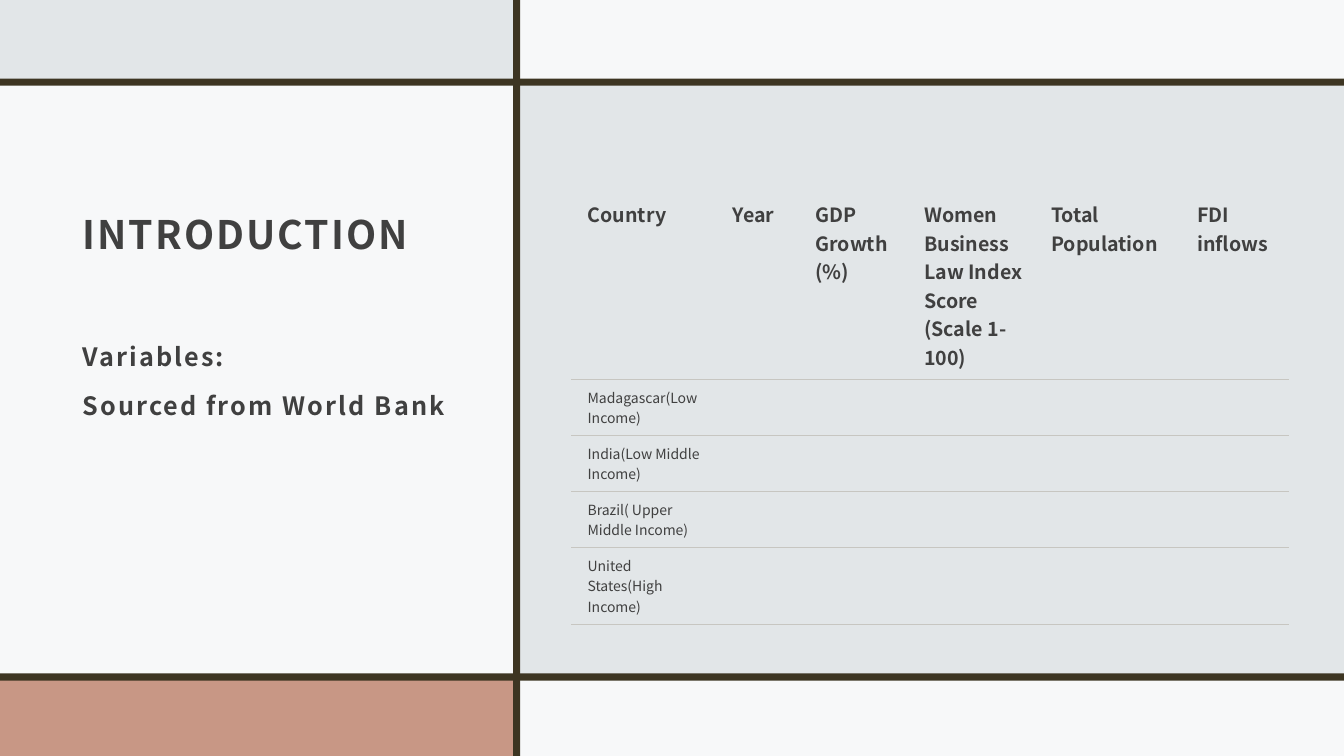
from dataclasses import dataclass

from lxml import etree
from pptx import Presentation
from pptx.dml.color import RGBColor
from pptx.enum.shapes import MSO_SHAPE
from pptx.enum.text import MSO_ANCHOR, MSO_AUTO_SIZE, PP_ALIGN
from pptx.oxml.ns import qn
from pptx.util import Cm, Pt

RECT = MSO_SHAPE.RECTANGLE
LEFT = PP_ALIGN.LEFT
TOP, MIDDLE = MSO_ANCHOR.TOP, MSO_ANCHOR.MIDDLE
NO_FIT = MSO_AUTO_SIZE.NONE
PLAIN_TABLE = "{2D5ABB26-0587-4C30-8999-92F81FD0307C}"


@dataclass(frozen=True)
class Theme:
    font: str = "Noto Sans CJK JP"
    text: str = "404040"
    backdrop: str = "E2E6E8"
    panel: str = "FFFFFF"
    accent: str = "C89785"
    bar: str = "3D3522"
    rule: str = "C7C6C1"
    title: int = 28
    body: int = 18
    header: int = 14
    cell: int = 10


THEME = Theme()
WIDTH, HEIGHT = 33.87, 19.05
BAR = 0.18
BAR_X, BAR_TOP, BAR_BOTTOM = 12.93, 1.98, 16.97
RIGHT_X = BAR_X + BAR

HEADERS = [
    ["Country"],
    ["Year"],
    ["GDP Growth", "(%)"],
    ["Women Business Law Index Score (Scale 1-100)"],
    ["Total Population"],
    ["FDI inflows"],
]
COUNTRIES = [
    "Madagascar(Low Income)",
    "India(Low Middle Income)",
    "Brazil( Upper Middle Income)",
    "United States(High Income)",
]
COL_WIDTHS = [3.66, 2.08, 2.74, 3.2, 3.68, 2.72]
HEADER_HEIGHT, ROW_HEIGHT = 4.04, 1.35


def add_rect(s, x, y, w, h, color, alpha=None):
    sp = s.shapes.add_shape(RECT, Cm(x), Cm(y), Cm(w), Cm(h))
    sp.shadow.inherit = False
    sp.line.fill.background()
    sp.fill.solid()
    sp.fill.fore_color.rgb = RGBColor.from_string(color)
    if alpha:
        clr = sp.element.spPr.find(qn("a:solidFill"))[0]
        etree.SubElement(clr, qn("a:alpha")).set("val", str(alpha * 1000))


def add_run(p, text, size, bold=False, tracking=0):
    r = p.add_run()
    r.text = text
    r.font.name = THEME.font
    r.font.size = Pt(size)
    r.font.bold = bold
    r.font.color.rgb = RGBColor.from_string(THEME.text)
    if tracking:
        r.font._element.set("spc", str(round(tracking * 100)))


def add_paragraphs(tf, lines, size, bold=False, tracking=0, spacing=None, gap=0):
    for i, line in enumerate(lines):
        p = tf.add_paragraph() if i else tf.paragraphs[0]
        p.alignment = LEFT
        if spacing:
            p.line_spacing = spacing
        p.space_before = Pt(gap if i else 0)
        add_run(p, line, size, bold, tracking)


def fill_placeholder(s, sp, box, lines, size, anchor, spacing, gap=0):
    s.shapes.element.append(sp.element)
    sp.left, sp.top, sp.width, sp.height = map(Cm, box)
    tf = sp.text_frame
    tf.word_wrap = True
    tf.auto_size = NO_FIT
    tf.vertical_anchor = anchor
    tf.margin_left = tf.margin_top = tf.margin_right = Cm(0.3)
    tf.margin_bottom = Cm(0.25)
    add_paragraphs(tf, lines, size, True, 1.5, spacing, gap)


def remove_bullets(tf):
    for p in tf.paragraphs:
        pPr = p._p.get_or_add_pPr()
        pPr.set("marL", "0")
        pPr.set("indent", "0")
        etree.SubElement(pPr, qn("a:buNone"))


def style_cell(cell):
    cell.margin_left, cell.margin_right = Cm(0.41), Cm(0.3)
    cell.margin_top = cell.margin_bottom = Cm(0.2)
    cell.vertical_anchor = TOP
    ln = etree.SubElement(cell._tc.get_or_add_tcPr(), qn("a:lnB"), w=str(Pt(0.75)))
    fill = etree.SubElement(ln, qn("a:solidFill"))
    etree.SubElement(fill, qn("a:srgbClr"), val=THEME.rule)
    cell.fill.background()


def add_variables_table(s):
    height = HEADER_HEIGHT + ROW_HEIGHT * len(COUNTRIES)
    frame = s.shapes.add_table(
        len(COUNTRIES) + 1, len(HEADERS),
        Cm(14.4), Cm(4.83), Cm(sum(COL_WIDTHS)), Cm(height),
    )
    table = frame.table
    table.first_row = table.horz_banding = False
    table._tbl.tblPr.find(qn("a:tableStyleId")).text = PLAIN_TABLE
    for col, width in zip(table.columns, COL_WIDTHS):
        col.width = Cm(width)
    for i, row in enumerate(table.rows):
        row.height = Cm(ROW_HEIGHT if i else HEADER_HEIGHT)
    for cell in table.iter_cells():
        style_cell(cell)
    for i, lines in enumerate(HEADERS):
        add_paragraphs(table.cell(0, i).text_frame, lines, THEME.header, True)
    for i, country in enumerate(COUNTRIES, 1):
        add_paragraphs(table.cell(i, 0).text_frame, [country], THEME.cell)


def main():
    prs = Presentation()
    prs.slide_width, prs.slide_height = Cm(WIDTH), Cm(HEIGHT)
    s = prs.slides.add_slide(prs.slide_layouts[1])
    title, body = s.placeholders[0], s.placeholders[1]

    add_rect(s, 0, 0, WIDTH, HEIGHT, THEME.backdrop)
    add_rect(s, 0, 2.11, BAR_X, 14.96, THEME.panel, 75)
    fill_placeholder(s, title, (1.78, 2.97, 10.03, 5.18), ["INTRODUCTION"],
                     THEME.title, MIDDLE, 1.5)
    add_rect(s, 13, 0, WIDTH - 13, 2.13, THEME.panel, 75)
    fill_placeholder(s, body, (1.78, 8.15, 10.03, 7.9),
                     ["Variables:", "Sourced from World Bank"],
                     THEME.body, TOP, 1.2, 9)
    remove_bullets(body.text_frame)
    add_rect(s, 0, 17.07, BAR_X, HEIGHT - 17.07, THEME.accent)
    add_rect(s, RIGHT_X, 17.12, WIDTH - RIGHT_X, HEIGHT - 17.12, THEME.panel, 75)

    add_rect(s, 0, BAR_BOTTOM, WIDTH, BAR, THEME.bar)
    add_rect(s, BAR_X, 0, BAR, HEIGHT, THEME.bar)
    add_rect(s, 0, BAR_TOP, WIDTH, BAR, THEME.bar)
    add_variables_table(s)
    prs.save("out.pptx")


if __name__ == "__main__":
    main()
